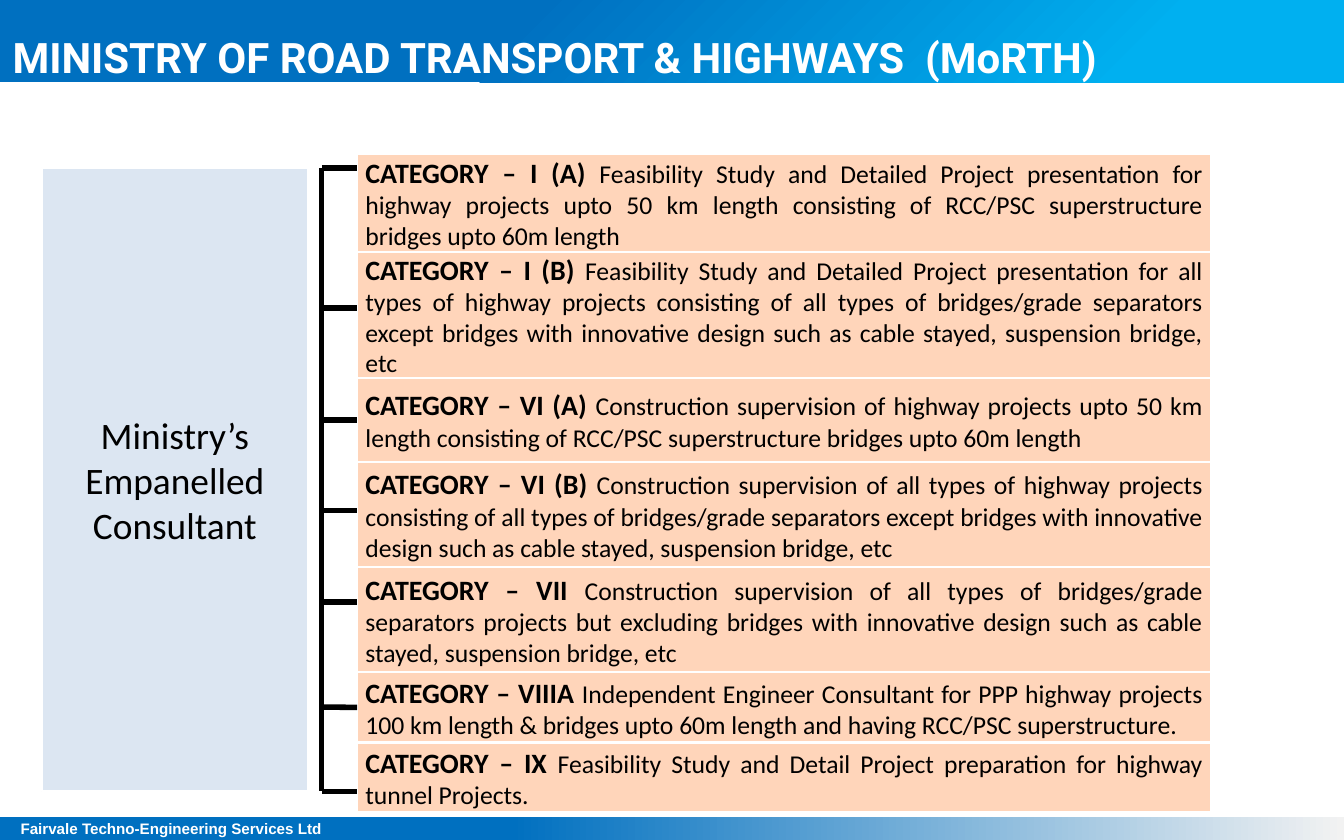
from lxml import etree
from pptx import Presentation
from pptx import util as u
from pptx.dml.color import RGBColor
from pptx.enum import shapes, text
from pptx.oxml.ns import qn

TITLE = "MINISTRY OF ROAD TRANSPORT & HIGHWAYS  (MoRTH)"
COMPANY = "Fairvale Techno-Engineering Services Ltd"
ROOT = "Ministry’s Empanelled Consultant"
# heading, description, box height (cm), height of its branch on the slide (cm)
CATEGORIES = [
    ("CATEGORY – I (A) ",
     "Feasibility Study and Detailed Project presentation for highway projects upto 50 km "
     "length consisting of RCC/PSC superstructure bridges upto 60m length", 2.97, 5.08),
    ("CATEGORY – I (B) ",
     "Feasibility Study and Detailed Project presentation for all types of highway projects "
     "consisting of all types of bridges/grade separators except bridges with innovative "
     "design such as cable stayed, suspension bridge, etc", 3.81, 9.31),
    ("CATEGORY – VI (A) ",
     "Construction supervision of highway projects upto 50 km length consisting of RCC/PSC "
     "superstructure bridges upto 60m length", 2.54, 12.7),
    ("CATEGORY – VI (B) ",
     "Construction supervision of all types of highway projects consisting of all types of "
     "bridges/grade separators except bridges with innovative design such as cable stayed, "
     "suspension bridge, etc", 3.18, 15.44),
    ("CATEGORY – VII ",
     "Construction supervision of all types of bridges/grade separators projects but "
     "excluding bridges with innovative design such as cable stayed, suspension bridge, etc",
     3.18, 18.2),
    ("CATEGORY – VIIIA ",
     "Independent Engineer Consultant for PPP highway projects 100 km length & bridges upto "
     "60m length and having RCC/PSC superstructure.", 2.12, 21.38),
    ("CATEGORY – IX ",
     "Feasibility Study and Detail Project preparation for highway tunnel Projects.",
     2.12, 23.93),
]

BLUE = RGBColor(0x00, 0x70, 0xC0)
SKY = RGBColor(0x00, 0xB0, 0xF0)
GREY = RGBColor(0xF2, 0xF2, 0xF2)
PALE_BLUE = RGBColor(0xDC, 0xE6, 0xF2)
ORANGE = RGBColor(0xFF, 0x66, 0x00)
WHITE = RGBColor(0xFF, 0xFF, 0xFF)
BLACK = RGBColor(0x00, 0x00, 0x00)

SLIDE_WIDTH, SLIDE_HEIGHT = 40.64, 25.4
FOOTER_HEIGHT = 0.69
ROOT_TOP, ROOT_HEIGHT = 5.08, 18.85
SPINE_X = 9.73
LIST_LEFT, LIST_TOP, LIST_WIDTH = 10.8, 4.65, 25.82


def add_box(slide, left, top, width, height):
    box = slide.shapes.add_shape(shapes.MSO_SHAPE.RECTANGLE, u.Cm(left), u.Cm(top),
                                 u.Cm(width), u.Cm(height))
    box.shadow.inherit = False
    return box


def add_text_box(slide, left, top, width, height, color):
    """Add a filled box with a white outline and vertically centred, wrapping text."""
    box = add_box(slide, left, top, width, height)
    box.fill.solid()
    box.fill.fore_color.rgb = color
    box.line.color.rgb = WHITE
    box.line.width = u.Pt(2)
    box.text_frame.word_wrap = True
    box.text_frame.vertical_anchor = text.MSO_ANCHOR.MIDDLE
    return box


def add_span(para, words, font, size, color, bold=False):
    span = para.add_run()
    span.text = words
    span.font.name = font
    span.font.size = u.Pt(size)
    span.font.bold = bold
    span.font.color.rgb = color


def add_line(slide, x1, y1, x2, y2, weight):
    line = slide.shapes.add_connector(shapes.MSO_CONNECTOR.STRAIGHT, u.Cm(x1), u.Cm(y1),
                                      u.Cm(x2), u.Cm(y2))
    line.line.color.rgb = BLACK
    line.line.width = u.Pt(weight)
    etree.SubElement(line._element.spPr, qn("a:effectLst"))
    return line


def set_gradient(shape, stops, angle):
    shape.fill.gradient()
    shape.fill.gradient_angle = angle
    for stop, (position, color) in zip(shape.fill.gradient_stops, stops):
        stop.position = position
        stop.color.rgb = color


def set_opacity(shape, percent):
    color = shape._element.spPr.find(qn("a:solidFill"))[0]
    etree.SubElement(color, qn("a:alpha")).set("val", str(percent * 1000))


def add_title(slide):
    title = slide.shapes.title
    title.left, title.top = u.Cm(0), u.Cm(-0.05)
    title.width, title.height = u.Cm(40.69), u.Cm(2.54)
    set_gradient(title, [(0.38, BLUE), (0.84, SKY)], 315)
    frame = title.text_frame
    frame.auto_size = text.MSO_AUTO_SIZE.NONE
    frame.vertical_anchor = text.MSO_ANCHOR.BOTTOM
    frame.margin_left = frame.margin_right = u.Cm(0.38)
    frame.margin_top = frame.margin_bottom = 0
    para = frame.paragraphs[0]
    para.alignment = text.PP_ALIGN.LEFT
    add_span(para, TITLE, "Roboto", 36, WHITE, True)


def add_footer(slide):
    strip = add_box(slide, 0, SLIDE_HEIGHT - FOOTER_HEIGHT, SLIDE_WIDTH, FOOTER_HEIGHT)
    strip.line.fill.background()
    set_gradient(strip, [(0.38, BLUE), (1, GREY)], 0)
    label = slide.shapes.add_textbox(u.Cm(0), u.Cm(24.64), u.Cm(9.96), u.Cm(0.81))
    label.text_frame.word_wrap = True
    para = label.text_frame.paragraphs[0]
    para.alignment = text.PP_ALIGN.RIGHT
    add_span(para, COMPANY, "Arial", 13, WHITE, True)


def add_category_tree(slide):
    root = add_text_box(slide, 1.27, ROOT_TOP, 8.04, ROOT_HEIGHT, PALE_BLUE)
    para = root.text_frame.paragraphs[0]
    para.alignment = text.PP_ALIGN.CENTER
    add_span(para, ROOT, "Calibri", 32, BLACK)
    add_line(slide, SPINE_X, ROOT_TOP, SPINE_X, ROOT_TOP + ROOT_HEIGHT, 4)

    top = LIST_TOP
    for heading, description, height, branch_y in CATEGORIES:
        box = add_text_box(slide, LIST_LEFT, top, LIST_WIDTH, height, ORANGE)
        set_opacity(box, 27)
        para = box.text_frame.paragraphs[0]
        para.alignment = text.PP_ALIGN.JUSTIFY
        add_span(para, heading, "Calibri", 24, BLACK, True)
        add_span(para, description, "Calibri", 22, BLACK)
        branch = add_line(slide, SPINE_X, branch_y, LIST_LEFT, branch_y, 4.75)
        if abs(top + height / 2 - branch_y) < 0.05:
            branch.end_connect(box, 1)
        top += height


def main():
    deck = Presentation()
    deck.slide_width, deck.slide_height = u.Cm(SLIDE_WIDTH), u.Cm(SLIDE_HEIGHT)
    slide = deck.slides.add_slide(deck.slide_layouts[5])
    add_title(slide)
    add_footer(slide)
    add_category_tree(slide)
    deck.save("out.pptx")


if __name__ == "__main__":
    main()
